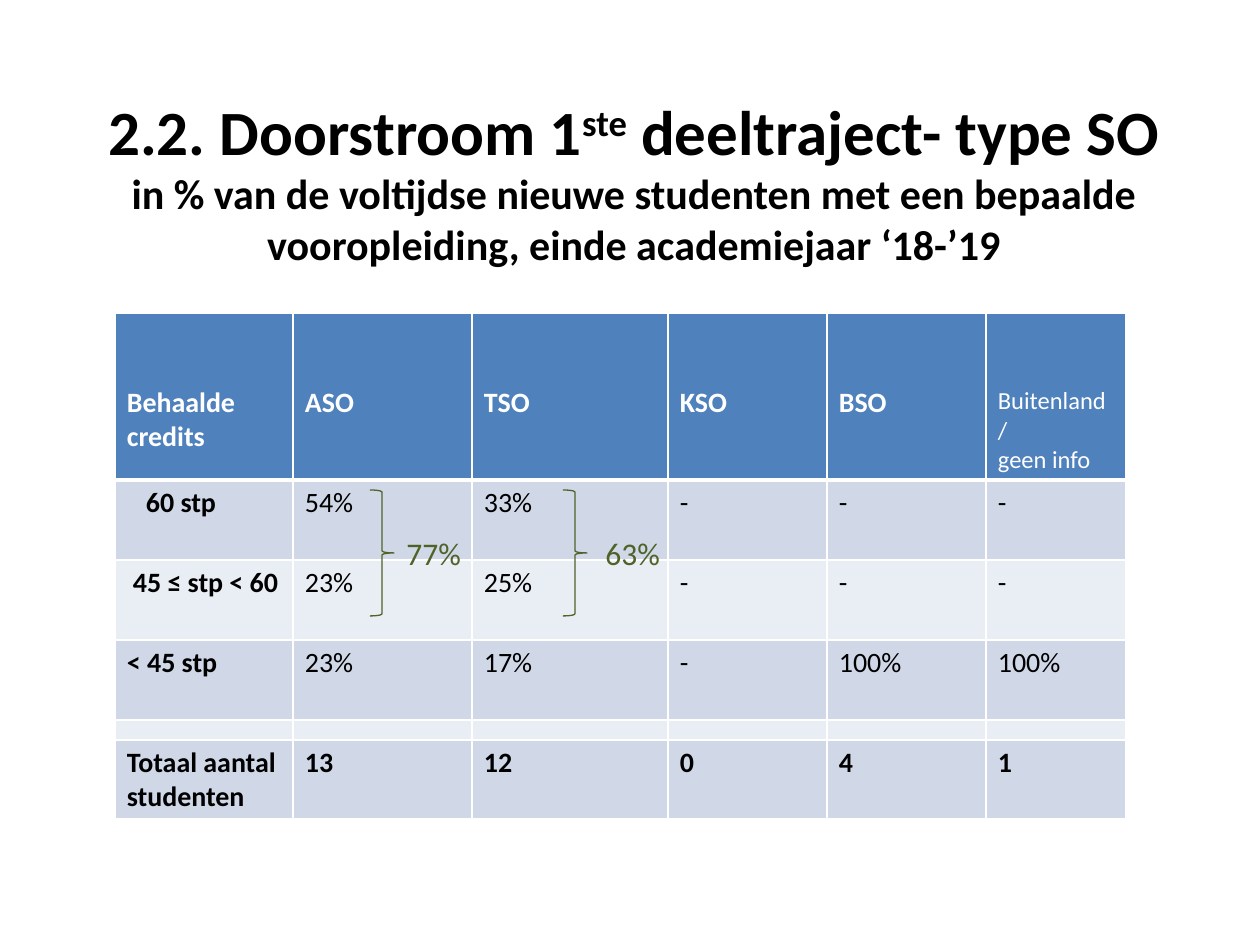
from lxml import etree
from pptx import Presentation
from pptx import util as u
from pptx.dml.color import RGBColor
from pptx.enum import shapes, text
from pptx.oxml import ns

PX = u.Inches(1) / 126
FONT = "Calibri"
BLACK = RGBColor(0x00, 0x00, 0x00)
WHITE = RGBColor(0xFF, 0xFF, 0xFF)
BLUE = RGBColor(0x4F, 0x81, 0xBD)
BAND_DARK = RGBColor(0xD0, 0xD8, 0xE8)
BAND_LIGHT = RGBColor(0xE9, 0xED, 0xF4)
GREEN = RGBColor(0x4F, 0x62, 0x28)

COLUMNS = [178, 179, 196, 159, 159, 140]
ROWS = [167, 80, 80, 80, 20, 79]
SPACER_ROW = 4
TOTAL_ROW = 5
CELLS = [
    ["Behaalde credits", "ASO", "TSO", "KSO", "BSO", "Buitenland/\ngeen info"],
    ["60 stp", "54%", "33%", "-", "-", "-"],
    ["45 ≤ stp < 60", "23%", "25%", "-", "-", "-"],
    ["< 45 stp", "23%", "17%", "-", "100%", "100%"],
    [""] * 6,
    ["Totaal aantal studenten", "13", "12", "0", "4", "1"],
]
LABEL_INDENTS = {1: 19, 2: 6}


def px(*lengths):
    return [u.Emu(round(length * PX)) for length in lengths]


def style(font, size, color, bold=False):
    font.name = FONT
    font.size = u.Pt(size)
    font.color.rgb = color
    font.bold = bold


def add_text_box(slide, place):
    box = slide.shapes.add_textbox(*px(*place))
    box.text_frame.word_wrap = True
    return box.text_frame


def add_title(slide):
    frame = add_text_box(slide, (54, 86, 1160, 190))
    heading = frame.paragraphs[0]
    heading.alignment = text.PP_ALIGN.CENTER
    style(heading.font, 36, BLACK, True)
    for part in ("2.2. Doorstroom 1", "ste", " deeltraject- type SO"):
        span = heading.add_run()
        span.text = part
        if part == "ste":
            span._r.get_or_add_rPr().set("baseline", "30000")
    subtitle = frame.add_paragraph()
    subtitle.text = ("in % van de voltijdse nieuwe studenten met een bepaalde "
                     "vooropleiding, einde academiejaar ‘18-’19")
    subtitle.alignment = text.PP_ALIGN.CENTER
    style(subtitle.font, 24, BLACK, True)


def set_borders(cell, top, bottom):
    properties = cell._tc.get_or_add_tcPr()
    widths = {"lnL": 1, "lnR": 1, "lnT": top, "lnB": bottom}
    for index, (side, width) in enumerate(widths.items()):
        line = etree.Element(ns.qn("a:" + side), w=str(u.Pt(width)))
        fill = etree.SubElement(line, ns.qn("a:solidFill"))
        etree.SubElement(fill, ns.qn("a:srgbClr"), val=str(WHITE))
        properties.insert(index, line)


def fill_cell(cell, row, column):
    header = row == 0
    cell.text = CELLS[row][column]
    cell.fill.solid()
    cell.fill.fore_color.rgb = BLUE if header else BAND_DARK if row % 2 else BAND_LIGHT
    set_borders(cell, top=3 if row == 1 else 1, bottom=3 if header else 1)

    # Header text sits low; the first column is indented per row
    indent = LABEL_INDENTS.get(row, 0) if column == 0 else 0
    cell.margin_left, cell.margin_right = px(12 + indent, 6 if indent else 12)
    cell.margin_top, cell.margin_bottom = px(73 if header else 6, 3 if header else 6)

    last_header = header and column == len(COLUMNS) - 1
    bold = not last_header and (header or column == 0 or row == TOTAL_ROW)
    for para in cell.text_frame.paragraphs:
        style(para.font, 14 if last_header else 16, WHITE if header else BLACK, bold)

    # A tiny empty line keeps the spacer row thin
    if row == SPACER_ROW:
        cell.margin_top = cell.margin_bottom = 0
        para = cell.text_frame.paragraphs[0]
        para.font.size = u.Pt(4)
        etree.SubElement(para._p, ns.qn("a:endParaRPr"), sz="400")


def add_credit_table(slide):
    place = px(115, 313, sum(COLUMNS), sum(ROWS))
    table = slide.shapes.add_table(len(ROWS), len(COLUMNS), *place).table
    table.horz_banding = False
    for column, width in zip(table.columns, px(*COLUMNS)):
        column.width = width
    for row, height in zip(table.rows, px(*ROWS)):
        row.height = height
    for row in range(len(ROWS)):
        for column in range(len(COLUMNS)):
            fill_cell(table.cell(row, column), row, column)


def add_brace_sum(slide, brace_left, label_left, label):
    brace = slide.shapes.add_shape(
        shapes.MSO_SHAPE.RIGHT_BRACE, *px(brace_left, 490, 24, 126))
    brace.shadow.inherit = False
    brace.fill.background()
    brace.line.color.rgb = GREEN
    brace.line.width = u.Pt(0.75)
    para = add_text_box(slide, (label_left, 528, 81, 50)).paragraphs[0]
    para.text = label
    style(para.font, 18, GREEN)


def main():
    deck = Presentation()
    deck.slide_width, deck.slide_height = px(1260, 945)
    slide = deck.slides.add_slide(deck.slide_layouts[6])
    add_title(slide)
    add_credit_table(slide)

    # Sums of the two upper credit groups
    add_brace_sum(slide, 370, 394, "77%")
    add_brace_sum(slide, 563, 593, "63%")
    deck.save("out.pptx")


if __name__ == "__main__":
    main()
